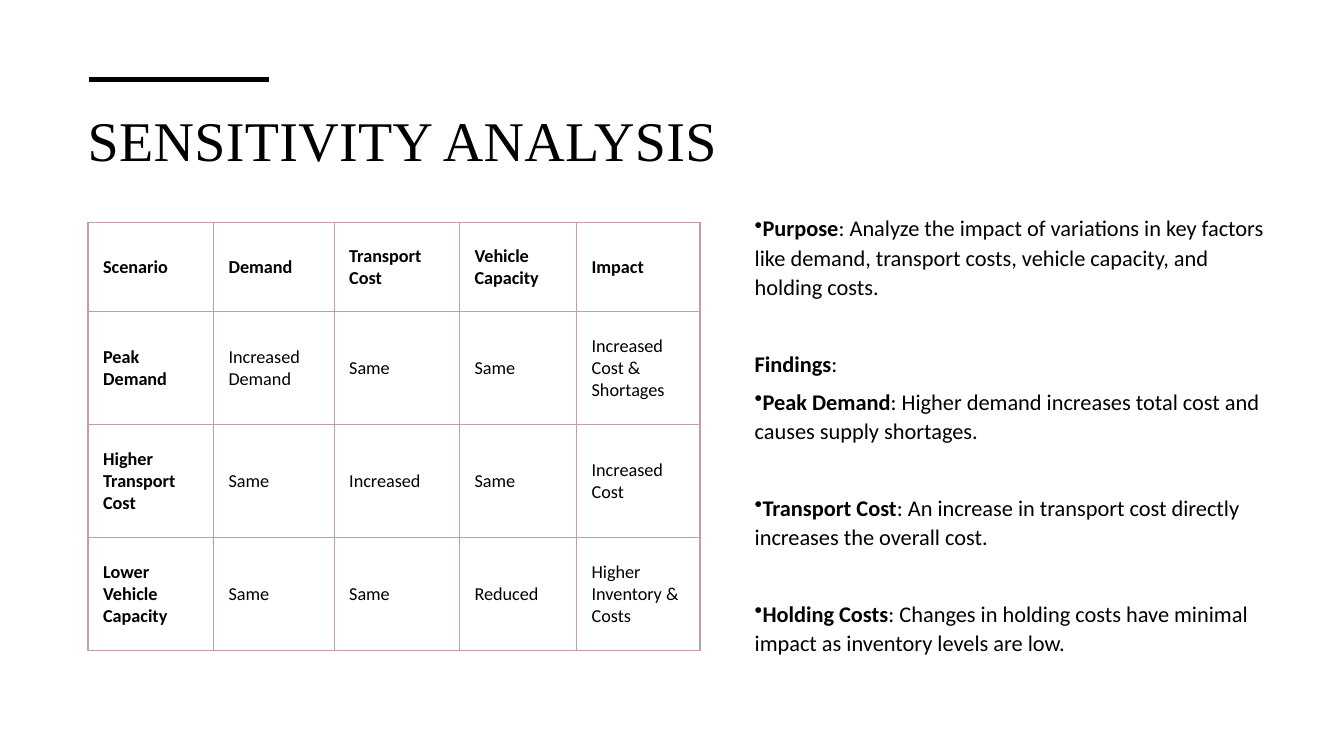
from dataclasses import dataclass

from lxml import etree
from pptx import Presentation
from pptx import util as u
from pptx.dml.color import RGBColor
from pptx.enum import shapes, text
from pptx.oxml.ns import qn


@dataclass(frozen=True)
class Theme:
    ink: str = "000000"
    paper: str = "FFFFFF"
    grid: str = "C29AB1"
    heading_font: str = "Times New Roman"
    body_font: str = "Calibri"
    title_size: float = 40
    body_size: float = 16
    table_size: float = 13
    rule_width: float = 3.5
    grid_width: float = 1


class Deck:
    """Holds the theme and the current slide."""

    def __init__(self, prs, theme):
        self.theme = theme
        self.s = prs.slides.add_slide(prs.slide_layouts[6])
        fill = self.s.background.fill
        fill.solid()
        fill.fore_color.rgb = RGBColor.from_string(theme.paper)

    def style(self, r, size, bold=False, font=None):
        r.font.size = u.Pt(size)
        r.font.bold = bold
        r.font.name = font or self.theme.body_font
        r.font.color.rgb = RGBColor.from_string(self.theme.ink)

    def text_box(self, x, y, w, h):
        sp = self.s.shapes.add_textbox(u.Cm(x), u.Cm(y), u.Cm(w), u.Cm(h))
        sp.text_frame.word_wrap = True
        return sp.text_frame

    def title(self, words, x, y, w, h):
        p = self.text_box(x, y, w, h).paragraphs[0]
        p.text = words
        r = p.runs[0]
        self.style(r, self.theme.title_size, font=self.theme.heading_font)
        r._r.get_or_add_rPr().set("spc", "30")

    def rule(self, x1, x2, y):
        ln = self.s.shapes.add_connector(
            shapes.MSO_CONNECTOR.STRAIGHT, u.Cm(x1), u.Cm(y), u.Cm(x2), u.Cm(y))
        ln.line.color.rgb = RGBColor.from_string(self.theme.ink)
        ln.line.width = u.Pt(self.theme.rule_width)
        etree.SubElement(ln._element.spPr, qn("a:effectLst"))

    def bullets(self, items, x, y, w, h):
        """Each item is (label, rest, bulleted, space before in points)."""
        tf = self.text_box(x, y, w, h)
        for i, (label, rest, bulleted, before) in enumerate(items):
            p = tf.add_paragraph() if i else tf.paragraphs[0]
            if bulleted:
                pPr = p._p.get_or_add_pPr()
                pPr.set("marL", "0")
                pPr.set("indent", str(-u.Cm(0.64)))
                etree.SubElement(pPr, qn("a:buChar"), char="•")
            p.line_spacing = 1.1
            p.space_before = u.Pt(before)
            p.space_after = u.Pt(6)
            for words, bold in ((label, True), (rest, False)):
                r = p.add_run()
                r.text = words
                self.style(r, self.theme.body_size, bold)

    def borders(self, cell):
        tcPr = cell._tc.get_or_add_tcPr()
        for side in ("lnL", "lnR", "lnT", "lnB"):
            ln = etree.SubElement(tcPr, qn(f"a:{side}"),
                                  w=str(u.Pt(self.theme.grid_width)))
            fill = etree.SubElement(ln, qn("a:solidFill"))
            etree.SubElement(fill, qn("a:srgbClr"), val=self.theme.grid)

    def table(self, rows, x, y, widths, heights):
        tbl = self.s.shapes.add_table(
            len(rows), len(widths), u.Cm(x), u.Cm(y),
            u.Cm(sum(widths)), u.Cm(sum(heights))).table
        tbl.first_row = tbl.horz_banding = False
        for col, width in zip(tbl.columns, widths):
            col.width = u.Cm(width)
        for row, height in zip(tbl.rows, heights):
            row.height = u.Cm(height)
        for i, row in enumerate(rows):
            for j, words in enumerate(row):
                cell = tbl.cell(i, j)
                cell.text = words
                cell.vertical_anchor = text.MSO_ANCHOR.MIDDLE
                cell.margin_left = cell.margin_right = u.Cm(0.38)
                cell.margin_top = cell.margin_bottom = u.Cm(0.38)
                self.borders(cell)
                cell.fill.background()
                self.style(cell.text_frame.paragraphs[0].runs[0],
                           self.theme.table_size, bold=i == 0 or j == 0)


SCENARIOS = [
    ["Scenario", "Demand", "Transport Cost", "Vehicle Capacity", "Impact"],
    ["Peak Demand", "Increased Demand", "Same", "Same", "Increased Cost & Shortages"],
    ["Higher Transport Cost", "Same", "Increased", "Same", "Increased Cost"],
    ["Lower Vehicle Capacity", "Same", "Same", "Reduced", "Higher Inventory & Costs"],
]

GAP = 27.5  # space before a new block, in points
FINDINGS = [
    ("Purpose", ": Analyze the impact of variations in key factors like demand, "
     "transport costs, vehicle capacity, and holding costs.", True, 0),
    ("Findings", ":", False, GAP),
    ("Peak Demand", ": Higher demand increases total cost and causes supply "
     "shortages.", True, 0),
    ("Transport Cost", ": An increase in transport cost directly increases the "
     "overall cost.", True, GAP),
    ("Holding Costs", ": Changes in holding costs have minimal impact as "
     "inventory levels are low.", True, GAP),
]


def main():
    prs = Presentation()
    prs.slide_width, prs.slide_height = u.Cm(33.87), u.Cm(19.05)
    deck = Deck(prs, Theme())

    # Heading with its rule
    deck.title("SENSITIVITY ANALYSIS", 1.96, 2.54, 29.95, 3.28)
    deck.rule(2.24, 6.78, 2.01)

    # Findings on the right
    deck.bullets(FINDINGS, 18.77, 5.21, 13.39, 12.98)

    # Scenario table on the left
    deck.table(SCENARIOS, 2.22, 5.61, [3.16, 3.04, 3.16, 2.95, 3.11],
               [2.24] + [2.85] * 3)

    prs.save("out.pptx")


if __name__ == "__main__":
    main()
